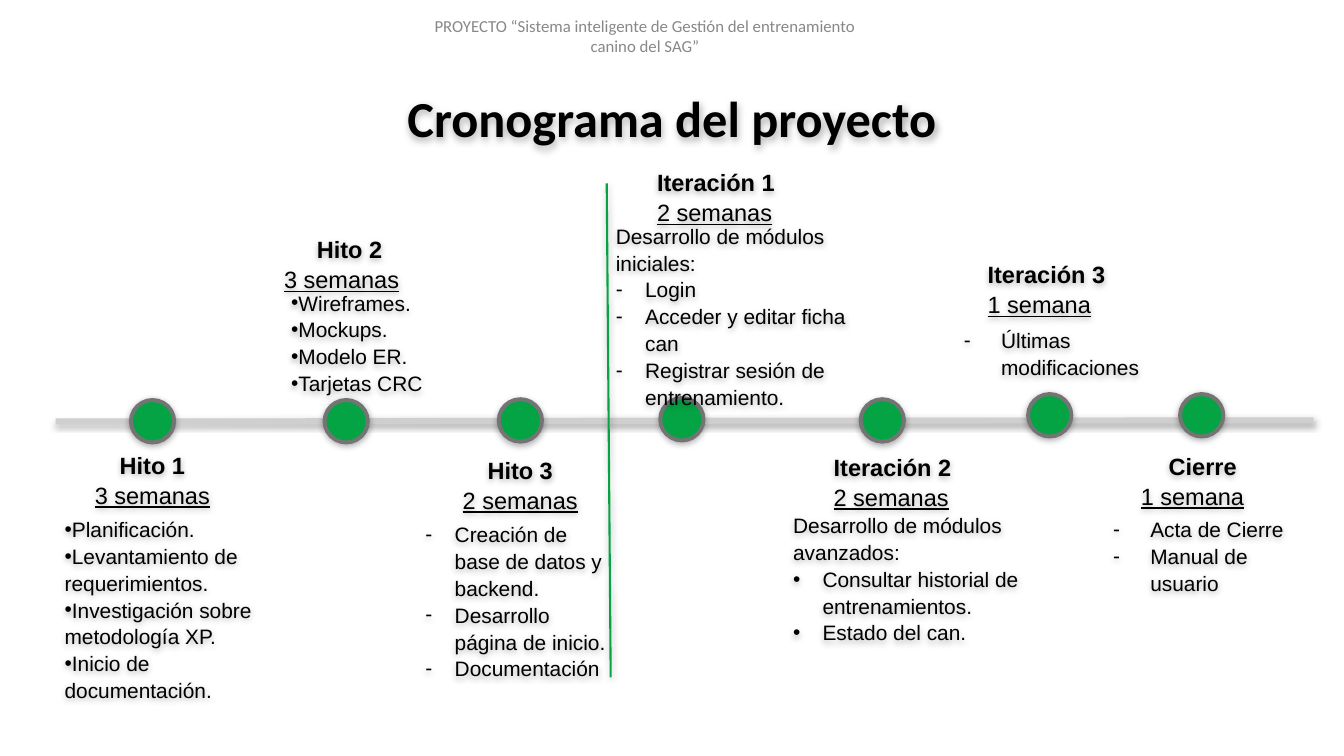
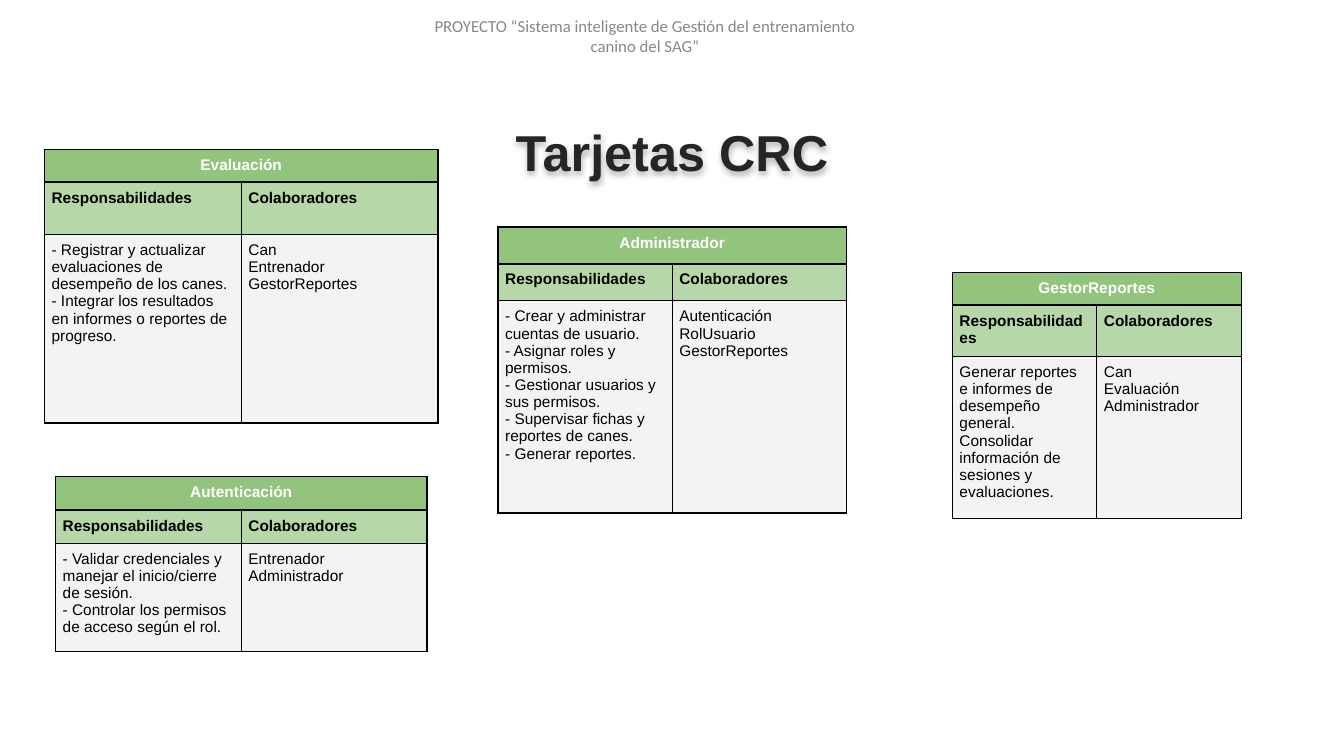
from dataclasses import dataclass

from lxml import etree
from pptx import Presentation
from pptx.dml.color import RGBColor
from pptx.enum import shapes, text
from pptx.oxml import ns, parse_xml
from pptx.util import Cm, Pt


@dataclass(frozen=True)
class Theme:
    black: str = "000000"
    charcoal: str = "252525"
    white: str = "FFFFFF"
    muted: str = "888888"
    green: str = "04A444"
    ring: str = "747474"
    track: str = "D0CECE"
    card_title: str = "93C47D"
    card_head: str = "B6D7A8"
    card_body: str = "F3F3F3"
    sans: str = "Arial"
    display: str = "Calibri"
    title_size: float = 36
    header_size: float = 12
    name_size: float = 16.8
    detail_size: float = 14.9
    card_size: float = 11
    spacing: float = 1.07


theme = Theme()
LEFT, CENTER = text.PP_ALIGN.LEFT, text.PP_ALIGN.CENTER
TOP, MIDDLE = text.MSO_ANCHOR.TOP, text.MSO_ANCHOR.MIDDLE


def format_text(paragraph, size, color=theme.black, face=theme.sans, bold=False, align=LEFT):
    paragraph.alignment = align
    for span in paragraph.runs:
        span.font.size = Pt(size)
        span.font.name = face
        span.font.bold = bold
        span.font.color.rgb = RGBColor.from_string(color)


def cast_shadow(shape):
    shape._element.spPr.append(parse_xml(
        f'<a:effectLst {ns.nsdecls("a")}>'
        '<a:outerShdw blurRad="57150" dist="19050" dir="5400000" algn="ctr" rotWithShape="0">'
        '<a:srgbClr val="000000"><a:alpha val="30000"/></a:srgbClr>'
        '</a:outerShdw></a:effectLst>'))


deck = Presentation()
deck.slide_width, deck.slide_height = Cm(33.87), Cm(19.05)

titles = [
    ("Cronograma del proyecto", 2.06, 1.8, theme.display, theme.black, TOP, 1),
    ("Tarjetas CRC", 2.01, 3.48, theme.sans, theme.charcoal, MIDDLE, 1.09),
]
for wording, top, height, face, color, anchor, spacing in titles:
    page = deck.slides.add_slide(deck.slide_layouts[5])
    title = page.shapes.title
    title.left, title.top, title.width, title.height = Cm(0), Cm(top), deck.slide_width, Cm(height)
    title.text_frame.text = wording
    title.text_frame.auto_size = text.MSO_AUTO_SIZE.NONE
    title.text_frame.vertical_anchor = anchor
    title.text_frame.paragraphs[0].line_spacing = spacing
    format_text(title.text_frame.paragraphs[0], theme.title_size, color, face, True, CENTER)
    cast_shadow(title)

    header = page.shapes.add_textbox(Cm(10.54), Cm(0.48), Cm(11.43), Cm(0.86)).text_frame
    header.word_wrap = True
    header.vertical_anchor = MIDDLE
    header.text = "PROYECTO “Sistema inteligente de Gestión del entrenamiento canino del SAG”"
    format_text(header.paragraphs[0], theme.header_size, theme.muted, theme.display, align=CENTER)

schedule, cards = deck.slides

rules = [
    (1.4, 10.62, 33.1, 10.59, theme.track, 4.2),
    (15.29, 4.62, 15.39, 17.07, theme.green, 1.5),
]
for x1, y1, x2, y2, color, width in rules:
    rule = schedule.shapes.add_connector(
        shapes.MSO_CONNECTOR.STRAIGHT, Cm(x1), Cm(y1), Cm(x2), Cm(y2))
    rule.line.color.rgb = RGBColor.from_string(color)
    rule.line.width = Pt(width)
    cast_shadow(rule)

tight, hanging, wide = (0, -0.25), (0.74, -0.74), (1.35, -0.94)
milestones = [
    ("Hito 1", "3 semanas", CENTER, CENTER, (3.3, 10.08), (1.4, 11.18, 4.88),
     (1.4, 12.85, 6.12, 4.7), "", "•", tight,
     ["Planificación.", "Levantamiento de requerimientos.",
      "Investigación sobre metodología XP.", "Inicio de documentación."]),
    ("Hito 2", "3 semanas", CENTER, LEFT, (8.18, 10.08), (6.93, 5.74, 3.76),
     (7.11, 7.14, 4.09, 2.79), "", "•", tight,
     ["Wireframes.", "Mockups.", "Modelo ER.", "Tarjetas CRC"]),
    ("Hito 3", "2 semanas", CENTER, CENTER, (12.57, 10.06), (11.23, 11.3, 3.76),
     (10.49, 12.98, 5.26, 4.06), "", "-", hanging,
     ["Creación de base de datos y backend.", "Desarrollo página de inicio.", "Documentación"]),
    ("Iteración 1", "2 semanas", LEFT, LEFT, (16.64, 10.03), (16.33, 4.06, 3.58),
     (15.29, 5.46, 6.48, 4.7), "Desarrollo de módulos iniciales:", "-", hanging,
     ["Login", "Acceder y editar ficha can", "Registrar sesión de entrenamiento."]),
    ("Iteración 2", "2 semanas", LEFT, LEFT, (21.69, 10.06), (20.78, 11.23, 3.86),
     (19.76, 12.75, 6.48, 3.43), "Desarrollo de módulos avanzados:", "•", hanging,
     ["Consultar historial de entrenamientos.", "Estado del can."]),
    ("Iteración 3", "1 semana", LEFT, LEFT, (25.91, 9.93), (24.66, 6.38, 3.58),
     (23.65, 8.08, 5.59, 1.52), "", "-", wide, ["Últimas modificaciones"]),
    ("Cierre", "1 semana", CENTER, LEFT, (29.74, 9.93), (28.52, 11.2, 3.58),
     (27.41, 12.85, 5.26, 2.16), "", "-", wide, ["Acta de Cierre", "Manual de usuario"]),
]
for (name, duration, name_align, duration_align, dot_at, label_at, detail_at,
     intro, bullet, (margin, indent), items) in milestones:
    dot = schedule.shapes.add_shape(
        shapes.MSO_SHAPE.FLOWCHART_CONNECTOR, *map(Cm, dot_at), Cm(1.09), Cm(1.07))
    dot.fill.solid()
    dot.fill.fore_color.rgb = RGBColor.from_string(theme.green)
    dot.line.color.rgb = RGBColor.from_string(theme.ring)
    dot.line.width = Pt(2.8)
    cast_shadow(dot)

    label = schedule.shapes.add_textbox(*map(Cm, label_at), Cm(1.68))
    detail = schedule.shapes.add_textbox(*map(Cm, detail_at))
    lines = [intro, *items] if intro else items
    for box, wording in ((label, [name, duration]), (detail, lines)):
        frame = box.text_frame
        frame.word_wrap = True
        frame.margin_left = frame.margin_right = Cm(0.23)
        frame.margin_top = frame.margin_bottom = Cm(0.13)
        frame.text = "\n".join(wording)
        for paragraph in frame.paragraphs:
            paragraph.line_spacing = theme.spacing
        cast_shadow(box)

    heading, weeks = label.text_frame.paragraphs
    format_text(heading, theme.name_size, bold=True, align=name_align)
    format_text(weeks, theme.name_size, align=duration_align)
    weeks.runs[0].font.underline = True

    for paragraph in detail.text_frame.paragraphs:
        if paragraph.text != intro:
            properties = paragraph._p.get_or_add_pPr()
            properties.set("marL", str(Cm(margin)))
            properties.set("indent", str(Cm(indent)))
            tint = etree.SubElement(properties, ns.qn("a:buClr"))
            etree.SubElement(tint, ns.qn("a:srgbClr"), val=theme.black)
            etree.SubElement(properties, ns.qn("a:buFont"), typeface=theme.sans)
            etree.SubElement(properties, ns.qn("a:buChar"), char=bullet)
        format_text(paragraph, theme.detail_size)

crc_cards = [
    ("Evaluación", (1.12, 3.76, 9.92), (0.79, 1.32, 4.75),
     ["- Registrar y actualizar evaluaciones de desempeño de los canes.",
      "- Integrar los resultados en informes o reportes de progreso."],
     ["Can", "Entrenador", "GestorReportes"]),
    ("Autenticación", (1.4, 12.01, 9.36), (0.84, 0.84, 2.72),
     ["- Validar credenciales y manejar el inicio/cierre de sesión.",
      "- Controlar los permisos de acceso según el rol."],
     ["Entrenador", "Administrador"]),
    ("Administrador", (12.55, 5.72, 8.78), (0.93, 0.93, 5.35),
     ["- Crear y administrar cuentas de usuario.", "- Asignar roles y permisos.",
      "- Gestionar usuarios y sus permisos.", "- Supervisar fichas y reportes de canes.",
      "- Generar reportes."],
     ["Autenticación", "RolUsuario", "GestorReportes"]),
    ("GestorReportes", (24, 6.86, 7.28), (0.82, 1.22, 3.84),
     ["Generar reportes e informes de desempeño general.",
      "Consolidar información de sesiones y evaluaciones."],
     ["Can", "Evaluación", "Administrador"]),
]
row_styles = [
    (theme.card_title, theme.white, True, CENTER),
    (theme.card_head, theme.black, True, LEFT),
    (theme.card_body, theme.black, False, LEFT),
]
for name, place, heights, duties, partners in crc_cards:
    table = cards.shapes.add_table(3, 2, *map(Cm, place), Cm(sum(heights))).table
    contents = [([name], []), (["Responsabilidades"], ["Colaboradores"]), (duties, partners)]
    for row, height, style, wording in zip(table.rows, heights, row_styles, contents):
        row.height = Cm(height)
        fill, color, bold, align = style
        for cell, lines in zip(row.cells, wording):
            cell.margin_left = cell.margin_right = Cm(0.18)
            cell.margin_top = cell.margin_bottom = Cm(0.18)
            properties = cell._tc.get_or_add_tcPr()
            for side in ("lnL", "lnR", "lnT", "lnB"):
                properties.append(parse_xml(
                    f'<a:{side} {ns.nsdecls("a")} w="12700"><a:solidFill>'
                    f'<a:srgbClr val="{theme.black}"/></a:solidFill></a:{side}>'))
            cell.fill.solid()
            cell.fill.fore_color.rgb = RGBColor.from_string(fill)
            cell.text_frame.text = "\n".join(lines)
            for paragraph in cell.text_frame.paragraphs:
                format_text(paragraph, theme.card_size, color, bold=bold, align=align)
    table.cell(0, 0).merge(table.cell(0, 1))

deck.save("out.pptx")
